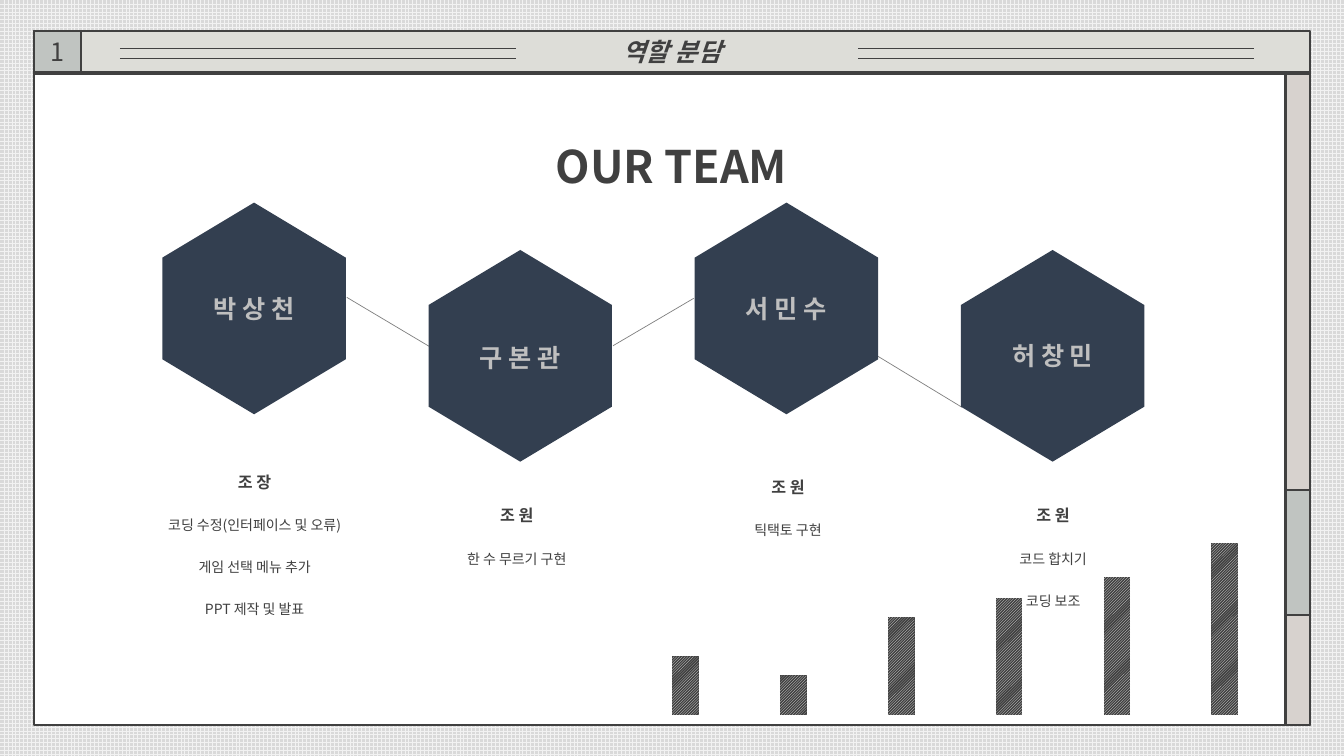
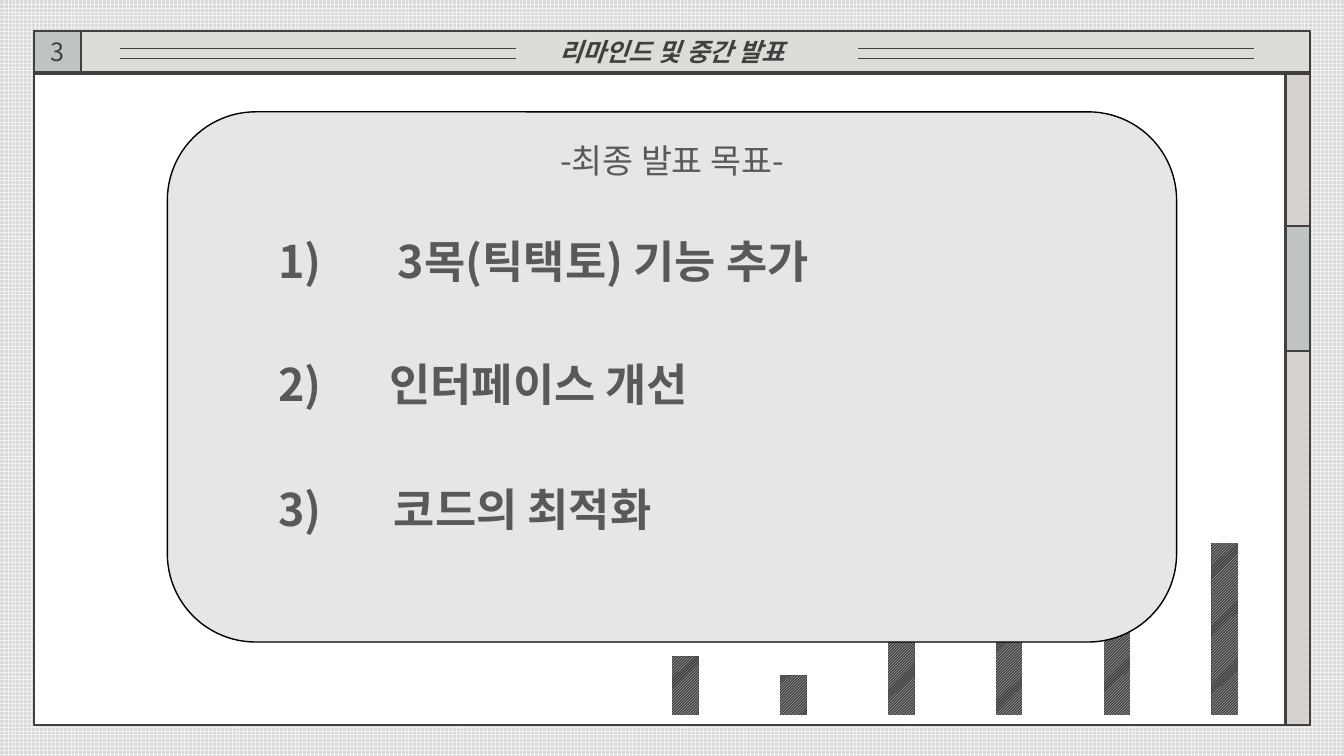
import pptx
import pptx.chart.data
import pptx.dml.color
import pptx.enum.chart
import pptx.enum.dml
import pptx.enum.shapes
import pptx.enum.text
import pptx.oxml
import pptx.oxml.ns
import pptx.util

Inches = pptx.util.Inches
Pt = pptx.util.Pt
RGBColor = pptx.dml.color.RGBColor
SHAPE = pptx.enum.shapes.MSO_SHAPE
PATTERN = pptx.enum.dml.MSO_PATTERN
ANCHOR = pptx.enum.text.MSO_ANCHOR
qn = pptx.oxml.ns.qn
nsdecls = pptx.oxml.ns.nsdecls

FONT = "Noto Sans CJK KR"
DARK = RGBColor(0x40, 0x40, 0x40)
MID_GRAY = RGBColor(0x59, 0x59, 0x59)
LINK_GRAY = RGBColor(0x80, 0x80, 0x80)
NAME_GRAY = RGBColor(0xBF, 0xBF, 0xBF)
GRID_GRAY = RGBColor(0xD9, 0xD9, 0xD9)
PALE_GRAY = RGBColor(0xF2, 0xF2, 0xF2)
PANEL_GRAY = RGBColor(0xE7, 0xE6, 0xE6)
BAR_GREEN = RGBColor(0xDD, 0xDD, 0xD8)
TAB_GREEN = RGBColor(0xC0, 0xC4, 0xC1)
SCROLL_BEIGE = RGBColor(0xD7, 0xD2, 0xCE)
NAVY = RGBColor(0x33, 0x3F, 0x50)
WHITE = RGBColor(0xFF, 0xFF, 0xFF)
BLACK = RGBColor(0, 0, 0)


def add_text(shape, lines, color, anchor=ANCHOR.TOP, italic=False):
    """Fill a shape with centred lines of (text, size, bold, line spacing)."""
    frame = shape.text_frame
    frame.word_wrap = True
    frame.auto_size = pptx.enum.text.MSO_AUTO_SIZE.NONE
    frame.vertical_anchor = anchor
    for index, (text, size, bold, spacing) in enumerate(lines):
        paragraph = frame.add_paragraph() if index else frame.paragraphs[0]
        paragraph.alignment = pptx.enum.text.PP_ALIGN.CENTER
        paragraph.line_spacing = spacing
        run = paragraph.add_run()
        run.text = text
        run.font.size = Pt(size)
        run.font.bold = bold
        run.font.italic = italic
        run.font.color.rgb = color
        run.font.name = FONT
        east_asian = pptx.oxml.parse_xml(
            f'<a:ea {nsdecls("a")} typeface="{FONT}"/>')
        run.font._element.find(qn("a:latin")).addnext(east_asian)


def add_line(slide, start, end, color, width):
    connector = slide.shapes.add_connector(
        pptx.enum.shapes.MSO_CONNECTOR.STRAIGHT,
        *[Inches(value) for value in start + end])
    connector.line.color.rgb = color
    connector.line.width = Pt(width)
    connector._element.spPr.append(
        pptx.oxml.parse_xml(f'<a:effectLst {nsdecls("a")}/>'))


presentation = pptx.Presentation()
presentation.slide_width = Inches(13.33)
presentation.slide_height = Inches(7.5)

# Grid background for every slide
background = presentation.slide_master.background.fill
background.patterned()
background.pattern = PATTERN.LARGE_GRID
background.fore_color.rgb = PALE_GRAY
background.back_color.rgb = GRID_GRAY

# Window frame and chart on both slides: title, number, top of the scroll thumb
for title, number, thumb_top in [("역할 분담", "1", 4.86),
                                 ("리마인드 및 중간 발표", "3", 2.24)]:
    slide = presentation.slides.add_slide(presentation.slide_layouts[5])

    # Title bar, number tab, page, scroll bar and its thumb
    title_bar = slide.shapes.title
    frame_parts = [title_bar]
    frame_boxes = [(0.34, 0.31, 12.65, 0.41, BAR_GREEN),
                   (0.34, 0.31, 0.46, 0.41, TAB_GREEN),
                   (0.34, 0.73, 12.65, 6.46, WHITE),
                   (12.75, 0.73, 0.24, 6.46, SCROLL_BEIGE),
                   (12.75, thumb_top, 0.24, 1.24, TAB_GREEN)]
    for left, top, width, height, color in frame_boxes:
        box = [Inches(value) for value in (left, top, width, height)]
        if color == BAR_GREEN:
            shape = title_bar
            shape.left, shape.top, shape.width, shape.height = box
        else:
            shape = slide.shapes.add_shape(SHAPE.RECTANGLE, *box)
            shape.shadow.inherit = False
            frame_parts.append(shape)
        shape.fill.solid()
        shape.fill.fore_color.rgb = color
        shape.line.color.rgb = DARK
        shape.line.width = Pt(1.5)
    add_text(title_bar, [(title, 18, True, 1.0)], DARK, ANCHOR.MIDDLE, True)
    add_text(frame_parts[1], [(number, 18, False, 1.0)], DARK, ANCHOR.MIDDLE)

    # Double rules on either side of the title
    for left in (1.19, 8.51):
        for top in (0.48, 0.58):
            add_line(slide, (left, top), (left + 3.93, top), DARK, 1)

    # Hatched column chart
    chart_data = pptx.chart.data.CategoryChartData(number_format="0")
    chart_data.categories = ["1", "2", "3", "4", "5", "6"]
    chart_data.add_series("Series 1", (34, 23, 57, 68, 80, 100))
    chart = slide.shapes.add_chart(
        pptx.enum.chart.XL_CHART_TYPE.COLUMN_CLUSTERED,
        Inches(6.13), Inches(5.06), Inches(6.62), Inches(2.12), chart_data).chart
    chart.has_legend = False
    chart.has_title = False
    chart.font.name = FONT
    chart.font.size = Pt(10)
    chart.font.color.rgb = GRID_GRAY
    chart.category_axis.visible = False
    chart.value_axis.visible = False
    chart.value_axis.has_major_gridlines = False
    chart.value_axis.minimum_scale = 0
    chart.value_axis.maximum_scale = 114
    chart.value_axis.tick_labels.number_format = "0%"
    chart.value_axis.tick_labels.number_format_is_linked = False
    plot = chart.plots[0]
    plot.gap_width = 303
    plot.vary_by_categories = False
    hatch = plot.series[0].format.fill
    hatch.patterned()
    hatch.pattern = PATTERN.LIGHT_UPWARD_DIAGONAL
    hatch.fore_color.rgb = PALE_GRAY
    hatch.back_color.rgb = DARK

    # Fixed inner plot area
    plot_area = chart._chartSpace.chart.plotArea
    for old_layout in plot_area.findall(qn("c:layout")):
        plot_area.remove(old_layout)
    settings = [("layoutTarget", "inner"), ("xMode", "edge"), ("yMode", "edge"),
                ("x", 0.02), ("y", 0.04), ("w", 0.97), ("h", 0.92)]
    settings_xml = "".join(f'<c:{tag} val="{value}"/>' for tag, value in settings)
    plot_area.insert(0, pptx.oxml.parse_xml(
        f'<c:layout {nsdecls("c")}><c:manualLayout>'
        f'{settings_xml}</c:manualLayout></c:layout>'))

team_slide, goal_slide = presentation.slides

# Team slide: heading and links between members
heading = team_slide.shapes.add_textbox(
    Inches(4.87), Inches(1.25), Inches(3.58), Inches(0.52))
add_text(heading, [("OUR TEAM", 32, True, 1.5)], DARK, ANCHOR.MIDDLE)
for start, end in [((3.44, 2.95), (4.28, 3.45)),
                   ((6.88, 2.96), (6.08, 3.43)),
                   ((8.7, 3.53), (9.54, 4.04))]:
    add_line(team_slide, start, end, LINK_GRAY, 0.5)

# Members: name, top of name, role, left and top of duties, duties
members = [
    ("박 상 천", 2.86, "조 장", 1.45, 4.54,
     ["코딩 수정(인터페이스 및 오류)", "게임 선택 메뉴 추가", "PPT 제작 및 발표"]),
    ("구 본 관", 3.35, "조 원", 4.05, 4.87, ["한 수 무르기 구현"]),
    ("서 민 수", 2.86, "조 원", 6.74, 4.59, ["틱택토 구현"]),
    ("허 창 민", 3.33, "조 원", 9.37, 4.87, ["코드 합치기", "코딩 보조"]),
]
for index, (name, name_top, role, duty_left, duty_top, duties) in enumerate(members):
    left = 1.47 + 2.64 * index
    hexagon = team_slide.shapes.add_shape(
        SHAPE.HEXAGON, Inches(left), Inches(2.15 + 0.47 * (index % 2)),
        Inches(2.1), Inches(1.82))
    hexagon.rotation = 270
    hexagon.adjustments[0] = 0.3
    hexagon.shadow.inherit = False
    hexagon.fill.solid()
    hexagon.fill.fore_color.rgb = NAVY
    hexagon.line.fill.background()

    name_box = team_slide.shapes.add_textbox(
        Inches(left + 0.14), Inches(name_top), Inches(1.82), Inches(0.4))
    add_text(name_box, [(name, 18, True, 1.0)], NAME_GRAY)
    duty_box = team_slide.shapes.add_textbox(
        Inches(duty_left), Inches(duty_top), Inches(2.15),
        Inches(0.39 + 0.42 * len(duties)))
    add_text(duty_box, [(role, 11.5, True, 1.5)]
             + [(duty, 10, False, 2.5) for duty in duties], DARK)

# Goal slide: rounded panel and its heading
panel = goal_slide.shapes.add_shape(
    SHAPE.ROUNDED_RECTANGLE, Inches(1.66), Inches(1.11), Inches(10.01), Inches(5.26))
panel.shadow.inherit = False
panel.fill.solid()
panel.fill.fore_color.rgb = PANEL_GRAY
panel.line.color.rgb = BLACK
panel.line.width = Pt(1)
panel_heading = goal_slide.shapes.add_textbox(
    Inches(1.66), Inches(1.34), Inches(10.01), Inches(0.5))
add_text(panel_heading, [("-최종 발표 목표-", 24, False, 1.0)], MID_GRAY)

# Numbered goals
goals = [("3목(틱택토) 기능 추가", 0.98, 2.27),
         ("인터페이스 개선", 0.34, 3.49),
         ("코드의 최적화", 0.18, 4.73)]
for number, (goal, goal_left, top) in enumerate(goals, start=1):
    for text, left, width in [(goal, goal_left, 10.01), (f"{number})", 2.65, 0.65)]:
        goal_box = goal_slide.shapes.add_textbox(
            Inches(left), Inches(top), Inches(width), Inches(0.64))
        add_text(goal_box, [(text, 32, True, 1.0)], MID_GRAY)

presentation.save("out.pptx")
